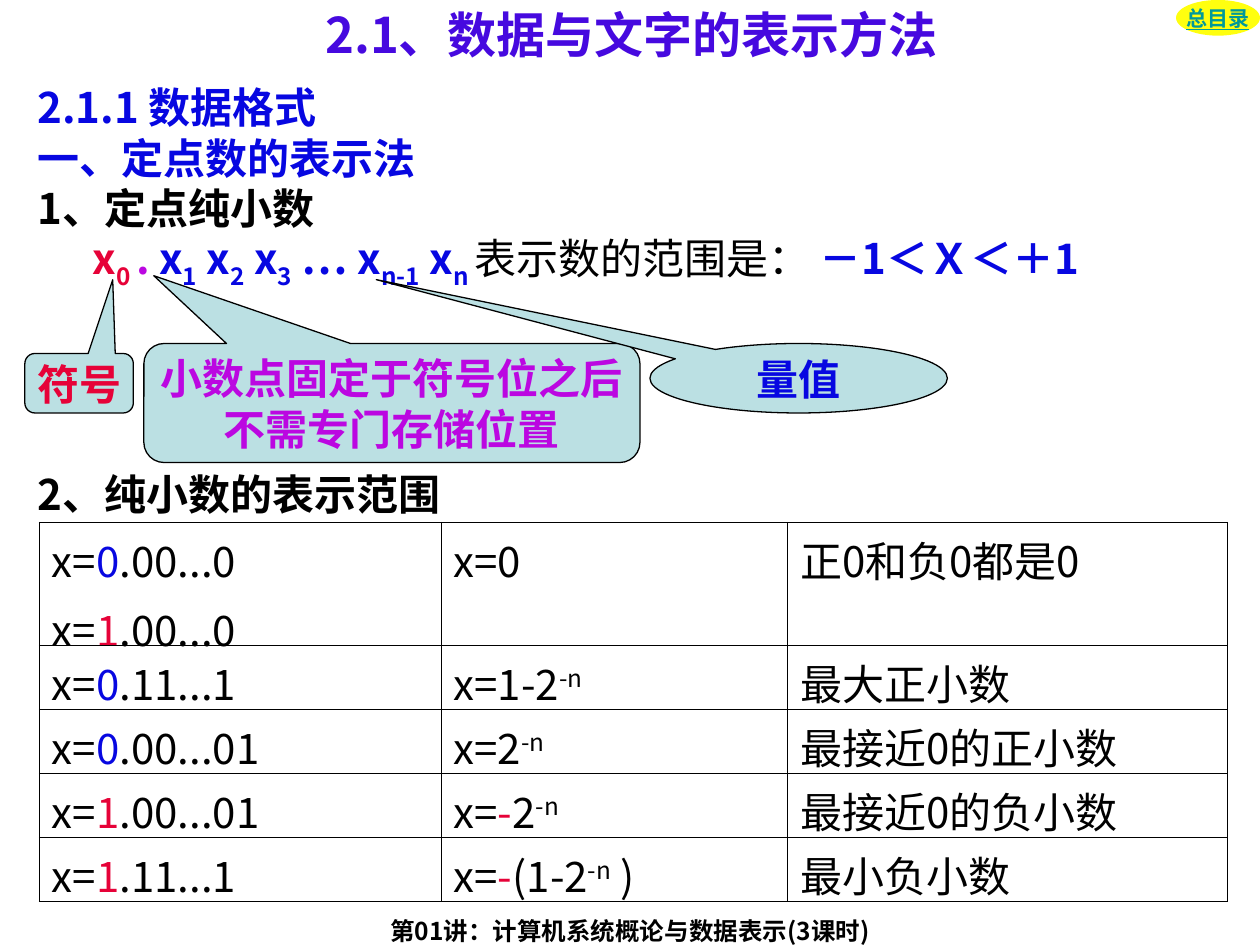
from dataclasses import dataclass

from lxml.etree import SubElement
from pptx import Presentation
from pptx.dml.color import RGBColor
from pptx.enum.shapes import MSO_SHAPE as SHAPE
from pptx.enum.text import MSO_ANCHOR as ANCHOR, MSO_AUTO_SIZE as AUTOSIZE, PP_ALIGN as ALIGN
from pptx.oxml.ns import qn
from pptx.util import Pt


@dataclass(frozen=True)
class Theme:
    font: str = "Noto Sans CJK JP"
    callout_font: str = "Arial"
    button_font: str = "Lato"
    title: str = "4609DF"
    blue: str = "0707E1"
    red: str = "E60238"
    purple: str = "BB07E1"
    black: str = "000000"
    teal: str = "009999"
    yellow: str = "FFFF00"
    pale: str = "BBE0E3"
    title_size: float = 28
    body_size: float = 24
    footer_size: float = 14
    button_size: float = 12


T = Theme()
SUB, SUP = -25, 30


def rgb(color):
    return RGBColor.from_string(color)


def add_run(p, text, size=T.body_size, font=T.font, color=T.black, bold=False,
            underline=None, base=0):
    """Add a run; base is the super- or subscript offset in percent."""
    r = p.add_run()
    r.text = text
    f = r.font
    f.size, f.name, f.bold, f.underline = Pt(size), font, bold, underline
    f.color.rgb = rgb(color)
    rPr = r._r.get_or_add_rPr()
    if base:
        rPr.set("baseline", str(base * 1000))
    SubElement(rPr, qn("a:ea")).set("typeface", T.font)


def write(tf, paragraphs, align=ALIGN.LEFT, before=0, **fmt):
    """Fill tf; a paragraph is a string or a list of (text, own format) runs."""
    for i, runs in enumerate(paragraphs):
        p = tf.add_paragraph() if i else tf.paragraphs[0]
        p.alignment = align
        if before:
            spc = SubElement(p._p.get_or_add_pPr(), qn("a:spcBef"))
            SubElement(spc, qn("a:spcPct")).set("val", str(before * 1000))
        for text, own in [(runs, {})] if isinstance(runs, str) else runs:
            add_run(p, text, **{**fmt, **own})


class SlideBuilder:
    def __init__(self, prs, theme):
        self.t = theme
        self.s = prs.slides.add_slide(prs.slide_layouts[5])

    def title(self, text, x, y, w, h):
        sp = self.s.shapes.title
        sp.left, sp.top, sp.width, sp.height = Pt(x), Pt(y), Pt(w), Pt(h)
        tf = sp.text_frame
        tf.auto_size, tf.vertical_anchor = AUTOSIZE.NONE, ANCHOR.MIDDLE
        write(tf, [text], ALIGN.CENTER, size=self.t.title_size, color=self.t.title, bold=True)

    def text(self, paragraphs, x, y, w, h, margin=None, **fmt):
        tf = self.s.shapes.add_textbox(Pt(x), Pt(y), Pt(w), Pt(h)).text_frame
        tf.word_wrap, tf.auto_size = True, AUTOSIZE.SHAPE_TO_FIT_TEXT
        if margin is not None:
            tf.margin_left = tf.margin_right = tf.margin_top = tf.margin_bottom = Pt(margin)
        write(tf, paragraphs, **fmt)
        return tf

    def shape(self, kind, paragraphs, x, y, w, h, fill, line=None, adjust=(), **fmt):
        sp = self.s.shapes.add_shape(kind, Pt(x), Pt(y), Pt(w), Pt(h))
        sp.shadow.inherit = False
        for i, value in enumerate(adjust):
            sp.adjustments[i] = value
        sp.fill.solid()
        sp.fill.fore_color.rgb = rgb(fill)
        if line:
            sp.line.color.rgb, sp.line.width = rgb(line), Pt(0.75)
        else:
            sp.line.fill.background()
        tf = sp.text_frame
        tf.word_wrap, tf.vertical_anchor = False, ANCHOR.MIDDLE
        write(tf, paragraphs, ALIGN.CENTER, bold=True, **fmt)
        return sp

    def callout(self, kind, paragraphs, box, adjust, color):
        self.shape(kind, paragraphs, *box, self.t.pale, self.t.black, adjust,
                   font=self.t.callout_font, color=color)

    def table(self, rows, x, y, widths, heights):
        frame = self.s.shapes.add_table(len(rows), len(widths), Pt(x), Pt(y),
                                        Pt(sum(widths)), Pt(sum(heights)))
        table = frame.table
        table.first_row = table.horz_banding = False
        for col, w in zip(table.columns, widths):
            col.width = Pt(w)
        for row, h, values in zip(table.rows, heights, rows):
            row.height = Pt(h)
            for cell, paragraphs in zip(row.cells, values):
                write(cell.text_frame, paragraphs, before=20)
                self.border(cell)
                cell.fill.background()

    def border(self, cell):
        tcPr = cell._tc.get_or_add_tcPr()
        for side in "LRTB":
            ln = SubElement(tcPr, qn(f"a:ln{side}"), w=str(Pt(0.25)))
            SubElement(SubElement(ln, qn("a:solidFill")), qn("a:srgbClr"), val=self.t.black)


def bits(sign, rest):
    """Runs of a binary fraction with its sign bit in colour."""
    return [("x=", {}), (sign, {"color": T.blue if sign == "0" else T.red}), (rest, {})]


def power(*lead, tail=""):
    """Runs of a value that ends in 2 to the power of -n."""
    runs = [*lead, ("-n", {"base": SUP})]
    return runs + [(tail, {})] if tail else runs


def main():
    prs = Presentation()
    prs.slide_width, prs.slide_height = Pt(720), Pt(540)
    b = SlideBuilder(prs, T)
    b.title("2.1、数据与文字的表示方法", 36.7, 0, 648, 38.9)

    formula = [("x", {"color": T.red}), ("0 ", {"color": T.red, "base": SUB}),
               (". ", {"color": T.purple})]
    for lead, index in (("x", "1"), (" x", "2"), (" x", "3"), (" … x", "n-1"), (" x", "n ")):
        formula += [(lead, {}), (index, {"base": SUB})]
    formula += [("表示数的范围是： ", {"color": T.black, "bold": False}), ("－1＜Ｘ＜＋1", {})]
    tf = b.text(["2.1.1 数据格式", "一、定点数的表示法",
                 [("1、定点纯小数", {"color": T.black})], formula],
                14.4, 43.2, 692, 127.4, color=T.blue, bold=True)
    tf.paragraphs[-1]._p.get_or_add_pPr().set("marL", str(Pt(31.5)))

    rounded = SHAPE.ROUNDED_RECTANGULAR_CALLOUT
    b.callout(rounded, ["符号"], (14.2, 202, 62, 34), (0.31, -1.74, 0.17), T.red)
    b.callout(rounded, ["小数点固定于符号位之后", "不需专门存储位置"],
              (82.2, 196.3, 283.5, 68), (-0.48, -1.07, 0.17), T.purple)
    b.callout(SHAPE.OVAL_CALLOUT, ["量值"], (371.4, 196.3, 170, 39.7), (-1.42, -1.42), T.blue)

    b.text(["2、纯小数的表示范围"], 14.4, 264.2, 266.4, 36, bold=True)
    minus = [("x=", {}), ("-", {"color": T.red})]
    rows = [
        ([bits("0", ".00...0"), bits("1", ".00...0")], ["x=0"], ["正0和负0都是0"]),
        ([bits("0", ".11...1")], [power(("x=1-2", {}))], ["最大正小数"]),
        ([bits("0", ".00...01")], [power(("x=2", {}))], ["最接近0的正小数"]),
        ([bits("1", ".00...01")], [power(*minus, ("2", {}))], ["最接近0的负小数"]),
        ([bits("1", ".11...1")], [power(*minus, ("(1-2", {}), tail=" )")], ["最小负小数"]),
    ]
    b.table(rows, 22.4, 298.3, (229.7, 198, 251.3), (70.3, *[36.6] * 4))

    button = b.shape(SHAPE.OVAL, ["总目录"], 672, 0, 48, 20.4, T.yellow, size=T.button_size,
                     font=T.button_font, color=T.teal, underline=True)
    color = button.fill._xPr.find(qn("a:solidFill"))[0]
    SubElement(color, qn("a:alpha")).set("val", "94000")
    b.text(["第01讲：计算机系统概论与数据表示(3课时)"], 0, 523.4, 720, 16.6, margin=0,
           align=ALIGN.CENTER, size=T.footer_size, bold=True)
    prs.save("out.pptx")


if __name__ == "__main__":
    main()
